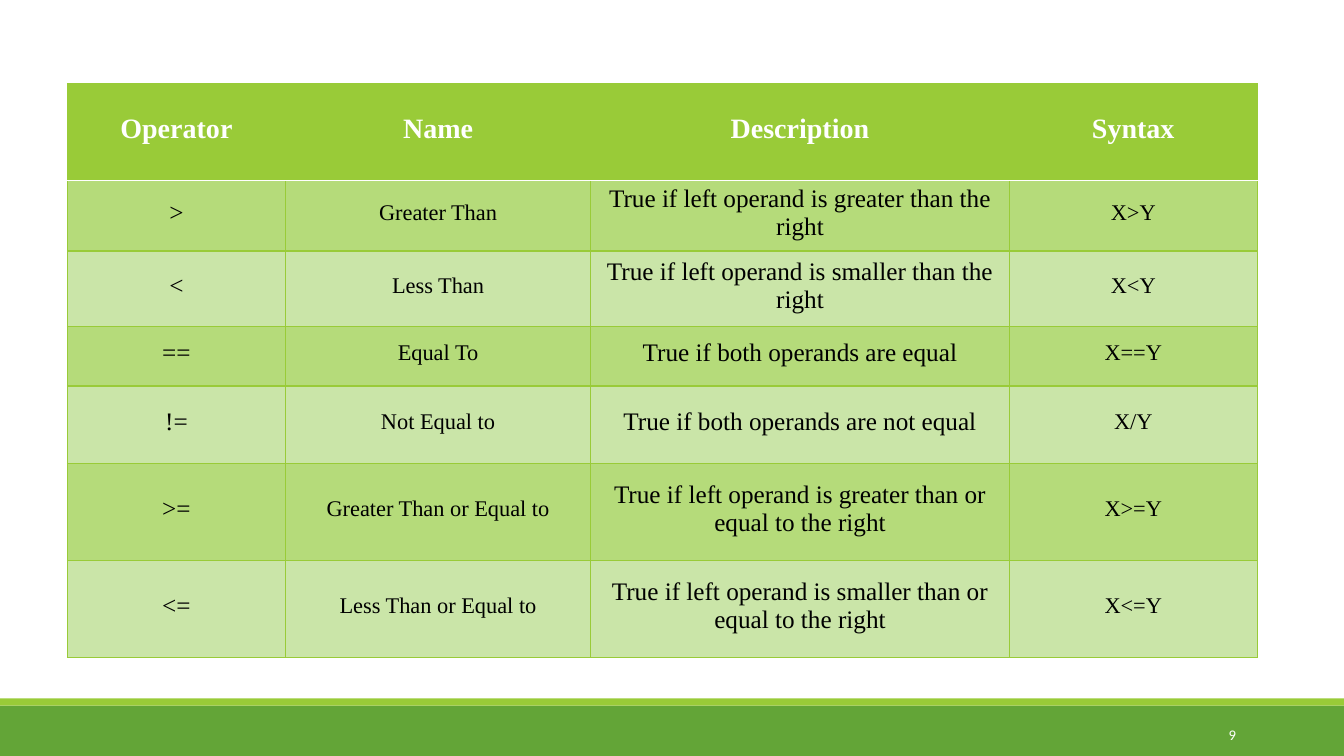
from lxml import etree
from pptx import Presentation
from pptx import util as u
from pptx.dml import color
from pptx.enum import shapes, text
from pptx.oxml import ns

LIME, GREEN, WHITE, BLACK = "99CB38", "63A537", "FFFFFF", "000000"
BANDS = ["B5DB7A", "CAE5A8"]
COLS = [2.16, 3.03, 4.15, 2.46]
ROWS = [0.96, 0.7, 0.75, 0.59, 0.77, 0.96, 0.96]
BODY_SIZES = [18, 16, 18, 16]
OPERATORS = [
    ["Operator", "Name", "Description", "Syntax"],
    [">", "Greater Than", "True if left operand is greater than the right", "X>Y"],
    ["<", "Less Than", "True if left operand is smaller than the right", "X<Y"],
    ["==", "Equal To", "True if both operands are equal", "X==Y"],
    ["!=", "Not Equal to", "True if both operands are not equal", "X/Y"],
    [">=", "Greater Than or Equal to",
     "True if left operand is greater than or equal to the right", "X>=Y"],
    ["<=", "Less Than or Equal to",
     "True if left operand is smaller than or equal to the right", "X<=Y"],
]


def rgb(value):
    return color.RGBColor.from_string(value)


class SlideBuilder:
    table_font = "Times New Roman"
    number_font = "Calibri"

    def __init__(self, slide):
        self.s = slide

    def band(self, left, top, width, height, fill):
        sp = self.s.shapes.add_shape(
            shapes.MSO_SHAPE.RECTANGLE, *map(u.Inches, (left, top, width, height)))
        sp.shadow.inherit = False
        sp.fill.solid()
        sp.fill.fore_color.rgb = rgb(fill)
        sp.line.fill.background()

    def label(self, tf, content, font, size, ink, align, bold=False):
        tf.word_wrap = True
        p = tf.paragraphs[0]
        p.text = content
        p.alignment = align
        p.font.name = font
        p.font.size = u.Pt(size)
        p.font.bold = bold
        p.font.color.rgb = rgb(ink)

    def border(self, cell, side, ink, points):
        tc_pr = cell._tc.get_or_add_tcPr()
        ln = etree.SubElement(tc_pr, ns.qn(f"a:ln{side}"), w=str(u.Pt(points)))
        fill = etree.SubElement(ln, ns.qn("a:solidFill"))
        etree.SubElement(fill, ns.qn("a:srgbClr"), val=ink)

    def cell(self, cell, content, row, col):
        header = row == 0
        for side in "LRTB":
            divider = (row, side) in [(0, "B"), (1, "T")]
            self.border(cell, side, *((WHITE, 1.25) if divider else (LIME, 1)))
        cell.fill.solid()
        cell.fill.fore_color.rgb = rgb(LIME if header else BANDS[(row - 1) % 2])
        cell.margin_left = cell.margin_right = cell.margin_top = 0
        cell.margin_bottom = u.Inches(0.06)
        cell.vertical_anchor = text.MSO_ANCHOR.MIDDLE
        self.label(cell.text_frame, content, self.table_font,
                   20 if header else BODY_SIZES[col],
                   WHITE if header else BLACK, text.PP_ALIGN.CENTER, header)

    def table(self, left, top, widths, heights, data):
        box = (left, top, sum(widths), sum(heights))
        tbl = self.s.shapes.add_table(
            len(heights), len(widths), *map(u.Inches, box)).table
        tbl.horz_banding = False
        for column, width in zip(tbl.columns, widths):
            column.width = u.Inches(width)
        for i, (height, values) in enumerate(zip(heights, data)):
            tbl.rows[i].height = u.Inches(height)
            for j, value in enumerate(values):
                self.cell(tbl.cell(i, j), value, i, j)

    def page_number(self, left, top, width, height, number):
        tf = self.s.shapes.add_textbox(
            *map(u.Inches, (left, top, width, height))).text_frame
        tf.margin_left = tf.margin_right = tf.margin_bottom = 0
        tf.margin_top = u.Inches(0.06)
        tf.vertical_anchor = text.MSO_ANCHOR.MIDDLE
        self.label(tf, number, self.number_font, 10.5, WHITE, text.PP_ALIGN.RIGHT)


def main():
    prs = Presentation()
    prs.slide_width, prs.slide_height = u.Inches(13.33), u.Inches(7.5)
    page = SlideBuilder(prs.slides.add_slide(prs.slide_layouts[6]))
    page.band(0, 7, 13.33, 0.5, GREEN)
    page.band(0, 6.93, 13.33, 0.07, LIME)
    page.table(0.67, 0.83, COLS, ROWS, OPERATORS)
    page.page_number(10.83, 7.06, 1.43, 0.4, "9")
    prs.save("out.pptx")


if __name__ == "__main__":
    main()
